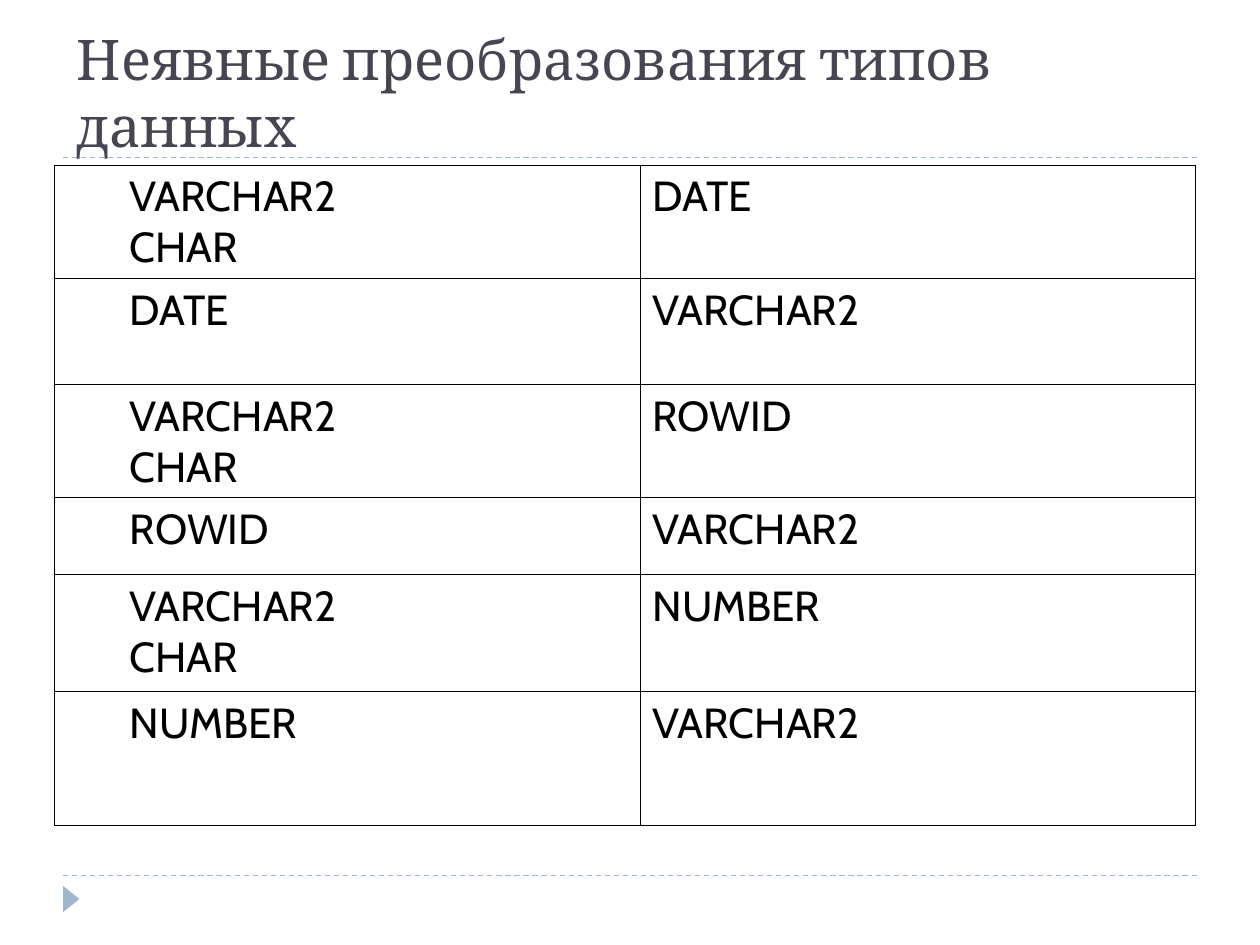
import pptx
import pptx.util
import pptx.dml.color
import pptx.enum.dml
import pptx.enum.shapes
import pptx.enum.text
import pptx.oxml
import pptx.oxml.ns
from lxml import etree

HEAD = "Неявные преобразования типов данных"
PAIRS = [
    ("VARCHAR2\nCHAR", "DATE"),
    ("DATE", "VARCHAR2"),
    ("VARCHAR2\nCHAR", "ROWID"),
    ("ROWID", "VARCHAR2"),
    ("VARCHAR2\nCHAR", "NUMBER"),
    ("NUMBER", "VARCHAR2"),
]
COLS = (4.65, 4.41)
ROWS = (0.9, 0.84, 0.9, 0.61, 0.93, 1.06)
INDENT = (0.5, 0)
RULES = (6.95, 1.25)
WIDE, HIGH = 10, 7.5
EDGE = WIDE * 0.05

inch, point = pptx.util.Inches, pptx.util.Pt
color = pptx.dml.color.RGBColor.from_string
THEME = {
    "head": {"name": "Cambria", "size": point(32), "color": "464653"},
    "body": {"name": "Cabin", "size": point(24), "color": "000000"},
    "accent": "9FB8CD",
    "grid": "000000",
    "rule": point(0.74),
    "border": point(0.45),
}


def style(part, form):
    for key, val in form.items():
        if key == "color":
            part.color.rgb = color(val)
        else:
            setattr(part, key, val)


def border(cell):
    props = cell._tc.get_or_add_tcPr()
    for spot, side in enumerate("LRTB"):
        line = pptx.oxml.parse_xml(
            f'<a:ln{side} {pptx.oxml.ns.nsdecls("a")} w="{THEME["border"]}">'
            f'<a:solidFill><a:srgbClr val="{THEME["grid"]}"/></a:solidFill>'
            f'</a:ln{side}>'
        )
        props.insert(spot, line)


deck = pptx.Presentation()
style(deck, {"slide_width": inch(WIDE), "slide_height": inch(HIGH)})
slide = deck.slides.add_slide(deck.slide_layouts[6])
shapes = slide.shapes

for y in RULES:
    rule = shapes.add_connector(
        pptx.enum.shapes.MSO_CONNECTOR.STRAIGHT,
        inch(EDGE), inch(y), inch(WIDE - EDGE), inch(y),
    )
    style(rule.line, {
        "color": THEME["accent"],
        "width": THEME["rule"],
        "dash_style": pptx.enum.dml.MSO_LINE.DASH,
    })
    etree.SubElement(rule._element.spPr, pptx.oxml.ns.qn("a:effectLst"))

mark = shapes.add_shape(
    pptx.enum.shapes.MSO_SHAPE.ISOSCELES_TRIANGLE,
    inch(0.46), inch(7.07), inch(0.21), inch(0.13),
)
mark.rotation = 90
mark.shadow.inherit = False
mark.fill.solid()
mark.fill.fore_color.rgb = color(THEME["accent"])
mark.line.fill.background()

title = shapes.add_textbox(inch(0.51), inch(0.68), inch(9), inch(0.63))
frame = title.text_frame
style(frame, {
    "word_wrap": True,
    "vertical_anchor": pptx.enum.text.MSO_ANCHOR.BOTTOM,
    "text": HEAD,
})
style(frame.paragraphs[0].runs[0].font, THEME["head"])

table = shapes.add_table(
    len(ROWS), len(COLS), inch(0.43), inch(1.31), inch(sum(COLS)), inch(sum(ROWS))
).table
style(table, {"first_row": False, "horz_banding": False})
for col, size in zip(table.columns, COLS):
    col.width = inch(size)
for row, size, pair in zip(table.rows, ROWS, PAIRS):
    row.height = inch(size)
    for cell, text, gap in zip(row.cells, pair, INDENT):
        cell.text = text
        cell.fill.background()
        border(cell)
        for para in cell.text_frame.paragraphs:
            para._p.get_or_add_pPr().set("marL", str(inch(gap)))
            style(para.runs[0].font, THEME["body"])

deck.save("out.pptx")
